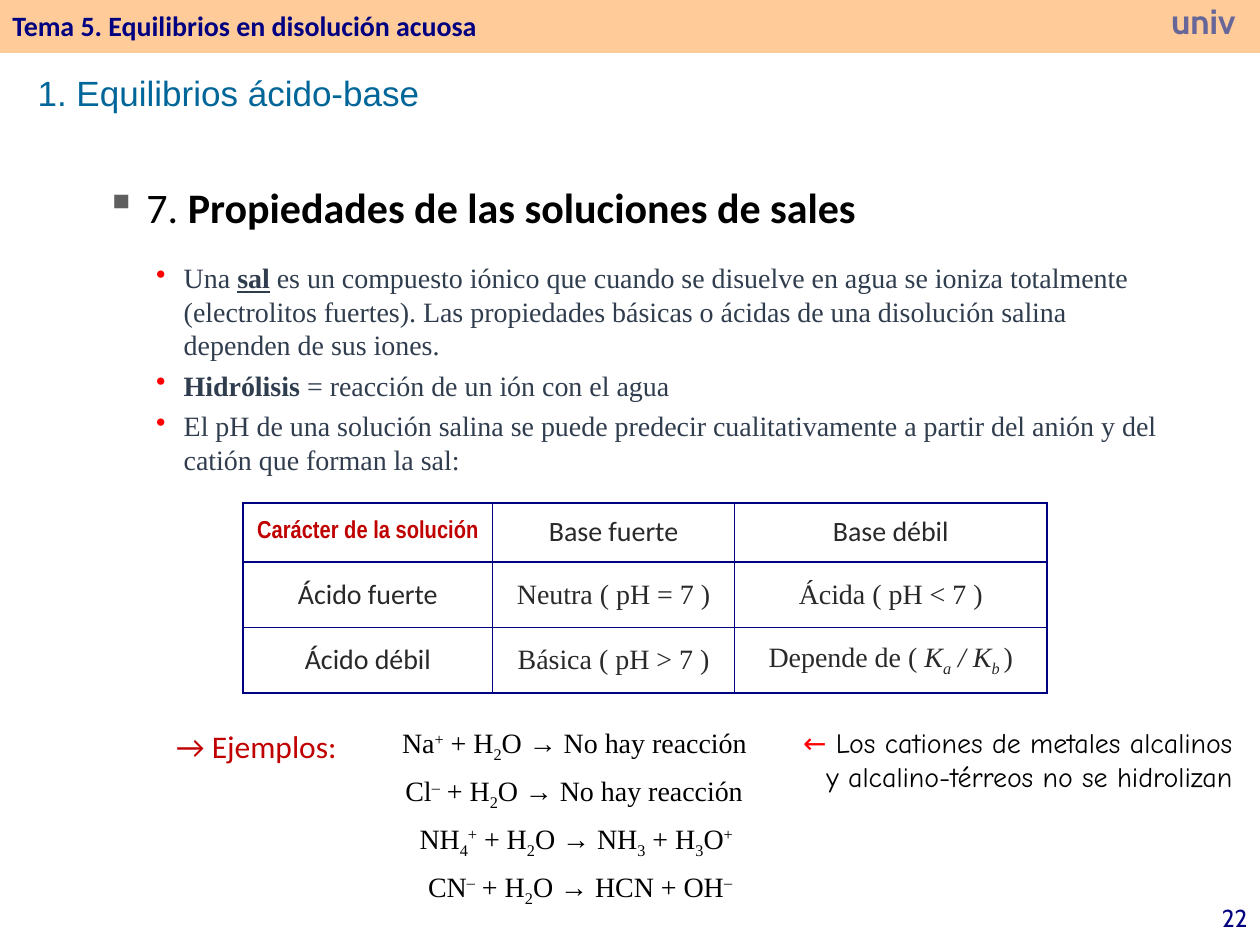
from lxml import etree
from pptx import Presentation
from pptx import util as u
from pptx.dml.color import RGBColor
from pptx.enum import shapes, text
from pptx.oxml.ns import qn

Inches = u.Inches
NAVY, RED, CRIMSON, BLACK, GREY, SLATE = "000080", "FF0000", "C00000", "000000", "292929", "303D4E"
SERIF, SANS = "Times New Roman", "Calibri"
LEFT, CENTER, RIGHT = text.PP_ALIGN.LEFT, text.PP_ALIGN.CENTER, text.PP_ALIGN.RIGHT
MIDDLE = text.MSO_ANCHOR.MIDDLE

# A paragraph is a list of pieces: plain text, or (text, marks) where the marks are
# b bold, u underline, i italic, ^ superscript, _ subscript.
HEADING = [" 7. ", ("Propiedades de las soluciones de sales", "b")]
POINTS = [
    ["Una ", ("sal", "bu"),
     " es un compuesto iónico que cuando se disuelve en agua se ioniza totalmente (electrolitos "
     "fuertes). Las propiedades básicas o ácidas de una disolución salina dependen de sus iones."],
    [("Hidrólisis", "b"), " = reacción de un ión con el agua"],
    ["El pH de una solución salina se puede predecir cualitativamente a partir del anión y del "
     "catión que forman la sal:"],
]
COLUMN_WIDTHS = [1.98, 1.92, 2.48]
ROW_HEIGHTS = [0.47, 0.52, 0.52]
SALT_TABLE = [
    [[("Carácter de la solución", "b")], ["Base fuerte"], ["Base débil"]],
    [["Ácido fuerte"], ["Neutra ( pH = 7 )"], ["Ácida ( pH < 7 )"]],
    [["Ácido débil"], ["Básica ( pH > 7 )"],
     ["Depende de ( ", ("K", "i"), ("a", "i_"), (" / K", "i"), ("b ", "i_"), ")"]],
]
WATER = [" + H", ("2", "_"), "O → "]
REACTIONS = [  # box width, equation
    (2.99, ["Na", ("+", "^"), *WATER, "No hay reacción"]),
    (2.93, ["Cl", ("‒", "^"), *WATER, "No hay reacción"]),
    (2.77, ["NH", ("4", "_"), ("+", "^"), *WATER, "NH", ("3", "_"), " + H", ("3", "_"),
            "O", ("+", "^")]),
    (2.76, ["CN", ("‒", "^"), *WATER, "HCN + OH", ("‒", "^")]),
]
REACTION_CENTER, REACTION_TOP, REACTION_STEP = 4.53, 5.71, 0.38


def rgb(value):
    return RGBColor.from_string(value)


def write(paragraph, pieces, size, font, color, align=LEFT):
    paragraph.alignment = align
    for piece in pieces:
        content, marks = (piece, "") if isinstance(piece, str) else piece
        run = paragraph.add_run()
        run.text = content
        run.font.size, run.font.name = u.Pt(size), font
        run.font.color.rgb = rgb(color)
        run.font.bold, run.font.italic = "b" in marks, "i" in marks
        run.font.underline = "u" in marks
        for mark, shift in (("^", "30000"), ("_", "-25000")):
            if mark in marks:
                run.font._element.set("baseline", shift)


def add_text(slide, box, paragraphs, size, font, color, align=LEFT, anchor=None,
             wrap=True, inset=True):
    frame = slide.shapes.add_textbox(*map(Inches, box)).text_frame
    frame.word_wrap = wrap
    if anchor is not None:
        frame.vertical_anchor = anchor
    if not inset:
        frame.margin_left = frame.margin_right = frame.margin_top = frame.margin_bottom = 0
    for index, pieces in enumerate(paragraphs):
        paragraph = frame.add_paragraph() if index else frame.paragraphs[0]
        write(paragraph, pieces, size, font, color, align)
    return frame


def add_bullets(frame, symbol, color, indent, space):
    for paragraph in frame.paragraphs:
        paragraph.space_before = u.Pt(space)
        properties = paragraph._p.get_or_add_pPr()
        properties.set("marL", str(Inches(indent)))
        properties.set("indent", str(-Inches(indent)))
        bullet_color = etree.SubElement(properties, qn("a:buClr"))
        etree.SubElement(bullet_color, qn("a:srgbClr"), val=color)
        etree.SubElement(properties, qn("a:buChar"), char=symbol)


def add_borders(cell, color, points):
    properties = cell._tc.get_or_add_tcPr()
    for side in ("a:lnL", "a:lnR", "a:lnT", "a:lnB"):
        line = etree.SubElement(properties, qn(side), w=str(u.Pt(points)))
        fill = etree.SubElement(line, qn("a:solidFill"))
        etree.SubElement(fill, qn("a:srgbClr"), val=color)


def add_salt_table(slide, left, top):
    table = slide.shapes.add_table(
        len(ROW_HEIGHTS), len(COLUMN_WIDTHS), Inches(left), Inches(top),
        Inches(sum(COLUMN_WIDTHS)), Inches(sum(ROW_HEIGHTS))).table
    for column, width in zip(table.columns, COLUMN_WIDTHS):
        column.width = Inches(width)
    for row, height in zip(table.rows, ROW_HEIGHTS):
        row.height = Inches(height)
    for r, row in enumerate(SALT_TABLE):
        for c, pieces in enumerate(row):
            cell = table.cell(r, c)
            cell.vertical_anchor = MIDDLE
            add_borders(cell, NAVY, 1)
            cell.fill.solid()
            cell.fill.fore_color.rgb = rgb("FFFFFF")
            if r == c == 0:
                style = (14, "Arial Narrow", CRIMSON)
            else:
                style = (16, SERIF if r and c else SANS, GREY)
            write(cell.text_frame.paragraphs[0], pieces, *style, CENTER)


def main():
    presentation = Presentation()
    presentation.slide_width, presentation.slide_height = Inches(10), Inches(7.5)
    slide = presentation.slides.add_slide(presentation.slide_layouts[6])

    band = slide.shapes.add_shape(shapes.MSO_SHAPE.RECTANGLE, 0, 0, Inches(10), Inches(0.42))
    band.shadow.inherit = False
    band.fill.solid()
    band.fill.fore_color.rgb = rgb("FFCC99")
    band.line.fill.background()

    add_text(slide, (0, 0, 7.25, 0.4), [[("Tema 5. Equilibrios en disolución acuosa", "b")]],
             16, SANS, NAVY, anchor=MIDDLE)
    add_text(slide, (9.1, 0, 0.9, 0.33), [[("univ", "b")]], 20, "Cabin", "666699", CENTER,
             inset=False)
    add_text(slide, (9.33, 7.06, 0.67, 0.44), [["22"]], 14, "Cabin", NAVY, RIGHT, MIDDLE)
    add_text(slide, (0.2, 0.52, 5.67, 0.44), [["1. Equilibrios ácido-base"]],
             20, "Arial", "006699")

    heading = add_text(slide, (0.74, 1.39, 7.17, 0.51), [HEADING], 24, SANS, BLACK)
    add_bullets(heading, "▪", "5F5F5F", 0.2, 4.8)
    points = add_text(slide, (1.14, 2.02, 8.27, 1.83), POINTS, 16, SERIF, SLATE)
    add_bullets(points, "•", RED, 0.22, 3.9)

    add_salt_table(slide, 1.93, 3.99)

    examples = add_text(slide, (1.3, 5.72, 1.65, 0.4), [["→ Ejemplos:"]], 18, SANS, CRIMSON)
    examples.paragraphs[0].space_before = u.Pt(3.6)
    for index, (width, equation) in enumerate(REACTIONS):
        box = (REACTION_CENTER - width / 2, REACTION_TOP + index * REACTION_STEP, width, 0.37)
        add_text(slide, box, [equation], 16, SERIF, BLACK, RIGHT, wrap=False)

    note = add_text(slide, (6.24, 5.71, 3.64, 0.64),
                    [["← ", "Los cationes de metales alcalinos y alcalino-térreos no se hidrolizan"]],
                    16, "Comic Neue", BLACK, RIGHT)
    note.paragraphs[0].runs[0].font.color.rgb = rgb(RED)

    presentation.save("out.pptx")


if __name__ == "__main__":
    main()
